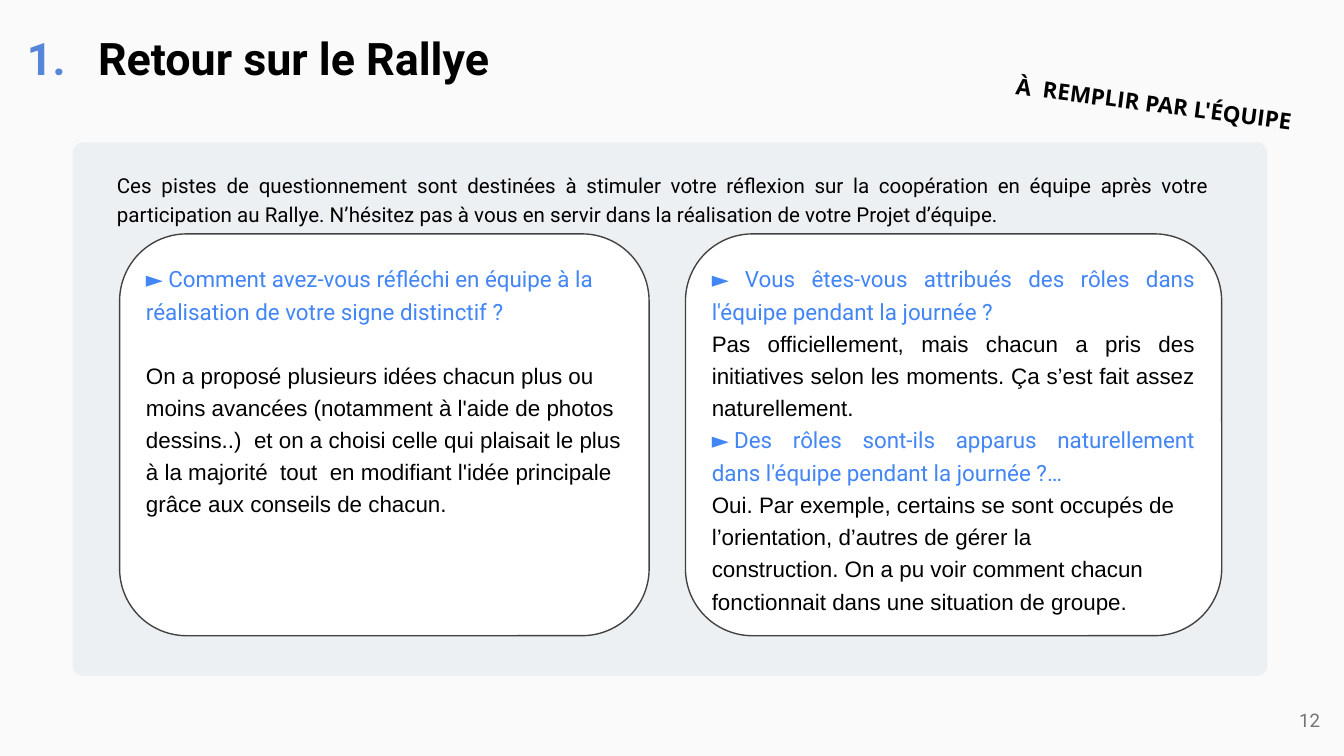
from lxml.etree import SubElement
from pptx import Presentation
from pptx.dml.color import RGBColor
from pptx.enum.shapes import MSO_SHAPE
from pptx.enum.text import MSO_ANCHOR, MSO_AUTO_SIZE, PP_ALIGN
from pptx.oxml.ns import qn
from pptx.util import Inches, Pt

deck = Presentation()
deck.slide_width, deck.slide_height = Inches(10), Inches(5.625)
slide = deck.slides.add_slide(deck.slide_layouts[6])
column = deck.slide_width / 100
row = deck.slide_height / 56.25

BLACK, BLUE, WHITE = "000000", "4285F4", "FFFFFF"
LEFT, CENTER, RIGHT, JUSTIFY = PP_ALIGN.LEFT, PP_ALIGN.CENTER, PP_ALIGN.RIGHT, PP_ALIGN.JUSTIFY
NBSP = chr(160)


def add_box(left, top, width, height, margin=0, fill=None, corner=0):
    area = [round(n) for n in (left * column, top * row, width * column, height * row)]
    if fill:
        box = slide.shapes.add_shape(MSO_SHAPE.ROUNDED_RECTANGLE, *area)
        box.adjustments[0] = corner
        box.shadow.inherit = False
        box.fill.solid()
        box.fill.fore_color.rgb = RGBColor.from_string(fill)
        box.line.fill.background()
    else:
        box = slide.shapes.add_textbox(*area)
    frame = box.text_frame
    frame.word_wrap = True
    frame.vertical_anchor = MSO_ANCHOR.TOP
    frame.margin_left = frame.margin_right = round(margin * column)
    frame.margin_top = frame.margin_bottom = round(margin * row)
    return box


def write(paragraph, runs, size, align=LEFT, spacing=1.0, bold=False, tab=None):
    paragraph.alignment = align
    paragraph.line_spacing = spacing
    if tab:
        stops = SubElement(paragraph._p.get_or_add_pPr(), qn("a:tabLst"))
        SubElement(stops, qn("a:tab"), pos=str(round(tab * column)), algn="l")
    paragraph.font.size = Pt(size)
    paragraph.font.bold = bold
    fonts = {font for _, font, _ in runs}
    if len(fonts) == 1:
        paragraph.font.name = runs[0][1]
    colors = {color for _, _, color in runs}
    if len(colors) == 1:
        paragraph.font.color.rgb = RGBColor.from_string(runs[0][2])
    for text, font, color in runs:
        run = paragraph.add_run()
        run.text = text
        if len(fonts) > 1:
            run.font.name = font
        if len(colors) > 1:
            run.font.color.rgb = RGBColor.from_string(color)


slide.background.fill.solid()
slide.background.fill.fore_color.rgb = RGBColor.from_string("FAFAFA")

add_box(5.4, 10.6, 88.9, 39.7, fill="EDF0F2", corner=0.02)

intro = add_box(8.7, 12.5, 81.3, 4.4)
intro.text_frame.auto_size = MSO_AUTO_SIZE.SHAPE_TO_FIT_TEXT
write(intro.text_frame.paragraphs[0], [(
    "Ces pistes de questionnement sont destinées à stimuler votre réflexion sur la coopération "
    "en équipe après votre participation au Rallye. N’hésitez pas à vous en servir dans la "
    "réalisation de votre Projet d’équipe.", "Roboto", BLACK)], 11, JUSTIFY, 1.2)

title = add_box(2, 1.9, 92.7, 4.4)
title.text_frame.auto_size = MSO_AUTO_SIZE.SHAPE_TO_FIT_TEXT
write(title.text_frame.paragraphs[0],
      [("1.", "Roboto", "5686DA"), ("\tRetour sur le Rallye", "Roboto", BLACK)],
      24, spacing=1.1, bold=True, tab=5.3)

reminder = add_box(75.1, 5.9, 21.7, 2)
reminder.rotation = 7.3
reminder.text_frame.auto_size = MSO_AUTO_SIZE.SHAPE_TO_FIT_TEXT
write(reminder.text_frame.paragraphs[0], [("À  REMPLIR PAR L'ÉQUIPE", "Open Sans", BLACK)],
      12, CENTER, 1.4, bold=True)

cards = [
    (8.9, 39.4, [
        (LEFT, 0, [("► ", "Calibri", BLUE),
                   ("Comment avez-vous réfléchi en équipe à la réalisation de votre signe "
                    "distinctif ?", "Roboto", BLUE)]),
        (LEFT, 17, [("On a proposé plusieurs idées chacun plus ou moins avancées (notamment à "
                     f"l'aide de photos dessins..) {NBSP}et on{NBSP}a choisi celle qui plaisait "
                     "le plus à la majorité  tout  en modifiant l'idée principale grâce aux "
                     "conseils de chacun.", "Arial", BLACK)]),
    ]),
    (51, 39.9, [
        (JUSTIFY, 0, [("► ", "Calibri", BLUE),
                      ("Vous êtes-vous attribués des rôles dans l'équipe pendant la journée ?",
                       "Roboto", BLUE)]),
        (JUSTIFY, 0, [("Pas officiellement, mais chacun a pris des initiatives selon les moments. "
                       "Ça s’est fait assez naturellement.", "Arial", BLACK)]),
        (JUSTIFY, 0, [(f"►{NBSP}", "Calibri", BLUE),
                      (f"Des rôles sont-ils apparus naturellement dans{NBSP}l'équipe pendant la "
                       "journée ?…", "Roboto", BLUE)]),
        (LEFT, 0, [("Oui. Par exemple, certains se sont occupés de l’orientation, d’autres de "
                    f"gérer la construction.{NBSP}On a pu voir comment chacun fonctionnait dans "
                    "une situation de groupe.", "Arial", BLACK)]),
    ]),
]
for left, width, answers in cards:
    card = add_box(left, 17.4, width, 29.9, margin=0.5, fill=WHITE, corner=0.167)
    card.line.color.rgb = RGBColor.from_string("424242")
    card.line.width = Pt(0.75)
    for index, (align, gap, runs) in enumerate(answers):
        paragraph = card.text_frame.add_paragraph() if index else card.text_frame.paragraphs[0]
        if gap:
            paragraph.space_before = Pt(gap)
        write(paragraph, runs, 12, align, 1.2)

page_number = add_box(93.2, 51.4, 6, 4.3, margin=1)
page_number.text_frame.vertical_anchor = MSO_ANCHOR.MIDDLE
write(page_number.text_frame.paragraphs[0], [("12", "Roboto", "737373")], 10, RIGHT)

deck.save("out.pptx")
